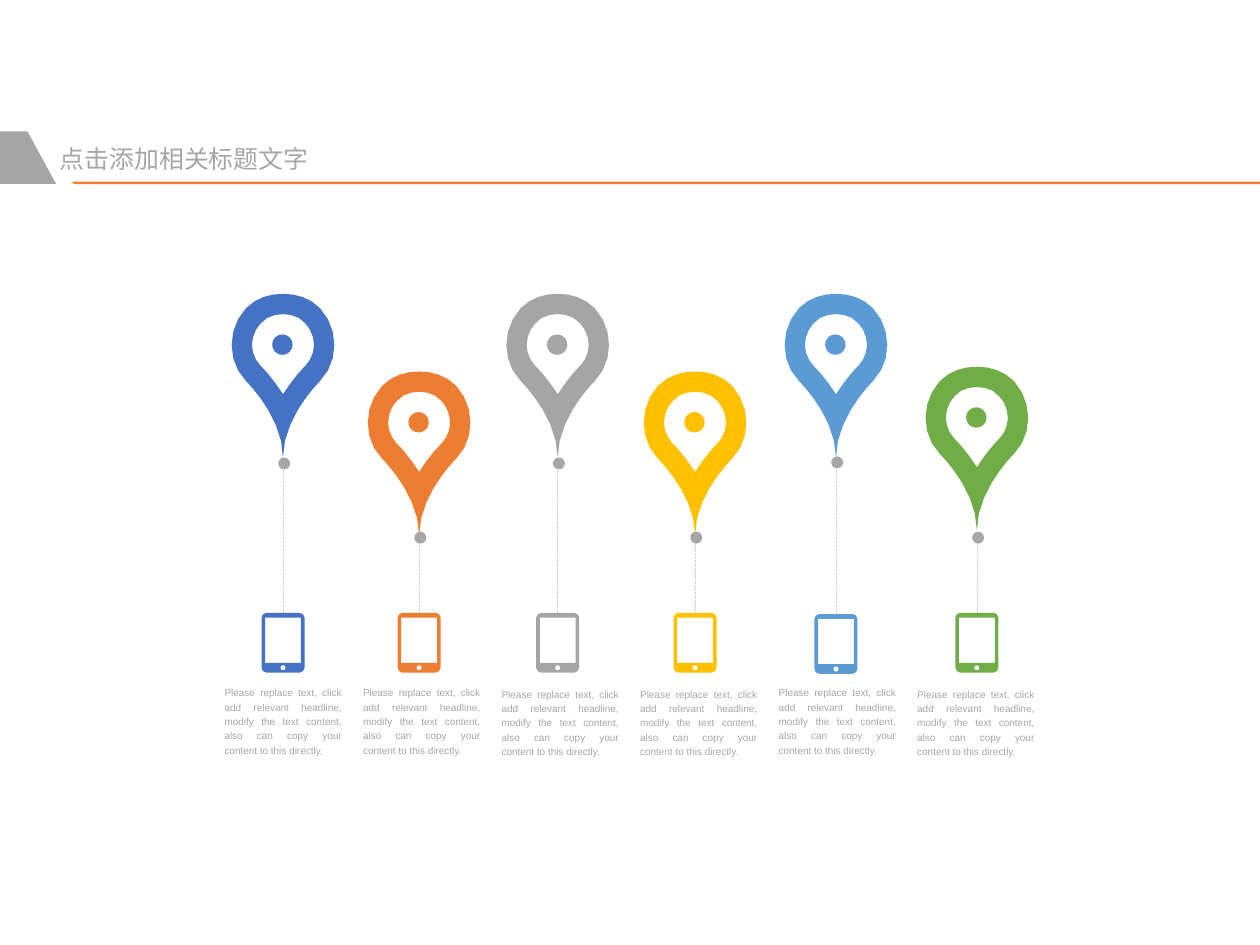
import math

from lxml import etree
from pptx import Presentation
from pptx.dml.color import RGBColor
from pptx.enum.dml import MSO_LINE
from pptx.enum.shapes import MSO_CONNECTOR, MSO_SHAPE
from pptx.enum.text import MSO_AUTO_SIZE, PP_ALIGN
from pptx.oxml.ns import qn
from pptx.util import Inches, Pt

OVAL = MSO_SHAPE.OVAL
STRAIGHT = MSO_CONNECTOR.STRAIGHT
DOTTED = MSO_LINE.ROUND_DOT
GROW = MSO_AUTO_SIZE.SHAPE_TO_FIT_TEXT
LEFT = PP_ALIGN.LEFT
JUSTIFY = PP_ALIGN.JUSTIFY

BLUE = RGBColor(0x44, 0x72, 0xC4)
ORANGE = RGBColor(0xED, 0x7D, 0x31)
GRAY = RGBColor(0xA5, 0xA5, 0xA5)
YELLOW = RGBColor(0xFF, 0xC0, 0x00)
SKY = RGBColor(0x5B, 0x9B, 0xD5)
GREEN = RGBColor(0x70, 0xAD, 0x47)
TEXT_GRAY = RGBColor(0xA6, 0xA6, 0xA6)
LINE_GRAY = RGBColor(0xC5, 0xC5, 0xC5)

FONT = "Arial"
TITLE = "点击添加相关标题文字"
CAPTION = ("Please replace text, click add relevant headline, modify the text "
           "content, also can copy your content to this directly.")
CAPTION_LEFT = 1.88
CAPTION_STEP = 1.16
LINE_BOTTOM = 5.13

PIN_HALVES = [
    [(0, 0), (-0.11, 0, -0.22, 0.03, -0.31, 0.12),
     (-0.47, 0.29, -0.47, 0.57, -0.31, 0.73),
     (-0.31, 0.73, 0, 1.03, 0, 1.37)],
    [(0, 0.17), (-0.07, 0.17, -0.14, 0.19, -0.19, 0.25),
     (-0.23, 0.29, -0.26, 0.36, -0.26, 0.43),
     (-0.26, 0.49, -0.23, 0.56, -0.19, 0.6),
     (-0.17, 0.62, -0.09, 0.7, 0, 0.84)],
]
TABLET_HALVES = [
    [(0, 0), (-0.14, 0), (-0.16, 0, -0.18, 0.02, -0.18, 0.04), (-0.18, 0.46),
     (-0.18, 0.48, -0.16, 0.5, -0.14, 0.5), (0, 0.5)],
    [(0, 0.04), (-0.15, 0.04), (-0.15, 0.42), (0, 0.42)],
    [(0, 0.44), (-0.01, 0.44), (-0.02, 0.45), (-0.02, 0.47), (-0.01, 0.48), (0, 0.48)],
]
RULE = [(0.6, 1.52), (10.55, 1.52), (10.55, 1.54), (0.62, 1.54)]
TAB = [(0.23, 1.1), (0.47, 1.54), (0, 1.54), (0, 1.1)]

# center, pin top, joint top, tablet top, caption top, colour
COLUMNS = [
    (2.37, 2.46, 3.83, 5.13, 5.73, BLUE),
    (3.51, 3.11, 4.45, 5.13, 5.73, ORANGE),
    (4.67, 2.46, 3.83, 5.13, 5.74, GRAY),
    (5.82, 3.11, 4.45, 5.13, 5.74, YELLOW),
    (7.00, 2.46, 3.82, 5.14, 5.73, SKY),
    (8.18, 3.07, 4.45, 5.13, 5.74, GREEN),
]


def curve_points(start, curve):
    controls = [start, curve[:2], curve[2:4], curve[4:]]
    steps = 2 + round(7 * math.dist(start, curve[4:]))
    points = []
    for step in range(1, steps + 1):
        t = step / steps
        weights = ((1 - t) ** 3, 3 * t * (1 - t) ** 2, 3 * t ** 2 * (1 - t), t ** 3)
        points.append(tuple(sum(weight * control[axis]
                                for weight, control in zip(weights, controls))
                            for axis in (0, 1)))
    return points


def mirrored_contour(half, center, top):
    points = [half[0]]
    for segment in half[1:]:
        points += curve_points(points[-1], segment) if len(segment) == 6 else [segment]
    points += [(-x, y) for x, y in reversed(points[1:-1])]
    return [(center + x, top + y) for x, y in points]


def fill_plain(shape, color):
    shape.shadow.inherit = False
    shape.fill.solid()
    shape.fill.fore_color.rgb = color
    shape.line.fill.background()


def add_outline(page, contours, color):
    contours = [[(Inches(x), Inches(y)) for x, y in contour] for contour in contours]
    builder = page.shapes.build_freeform(*contours[0][0])
    builder.add_line_segments(contours[0][1:])
    for contour in contours[1:]:
        builder.move_to(*contour[0])
        builder.add_line_segments(contour[1:])
    fill_plain(builder.convert_to_shape(), color)


def add_symbol(page, halves, center, top, color):
    add_outline(page, [mirrored_contour(half, center, top) for half in halves], color)


def add_dot(page, left, top, size, color):
    dot = page.shapes.add_shape(OVAL, Inches(left), Inches(top), Inches(size), Inches(size))
    fill_plain(dot, color)


def add_dotted_line(page, x, top, bottom):
    line = page.shapes.add_connector(STRAIGHT, Inches(x), Inches(bottom), Inches(x), Inches(top))
    line.line.color.rgb = LINE_GRAY
    line.line.width = Pt(0.5)
    line.line.dash_style = DOTTED
    etree.SubElement(line._element.spPr, qn("a:effectLst"))


def add_text(page, left, top, width, height, text, size, alignment, spacing):
    box = page.shapes.add_textbox(Inches(left), Inches(top), Inches(width), Inches(height))
    frame = box.text_frame
    frame.word_wrap = True
    frame.auto_size = GROW
    frame.margin_left = frame.margin_right = frame.margin_top = frame.margin_bottom = 0
    para = frame.paragraphs[0]
    para.text = text
    para.alignment = alignment
    para.line_spacing = spacing
    para.font.name = FONT
    para.font.size = Pt(size)
    para.font.color.rgb = TEXT_GRAY


def add_header(page):
    add_outline(page, [RULE], ORANGE)
    add_outline(page, [TAB], GRAY)
    add_text(page, 0.5, 1.2, 2.52, 0.25, TITLE, 15, LEFT, 1.0)


def add_column(page, index, center, pin_top, joint_top, tablet_top, caption_top, color):
    add_symbol(page, PIN_HALVES, center, pin_top, color)
    add_dot(page, center - 0.09, pin_top + 0.34, 0.17, color)
    add_dot(page, center - 0.04, joint_top, 0.1, TEXT_GRAY)
    add_dotted_line(page, center, joint_top + 0.09, LINE_BOTTOM)
    add_symbol(page, TABLET_HALVES, center, tablet_top, color)
    add_text(page, CAPTION_LEFT + index * CAPTION_STEP, caption_top, 0.98, 0.59,
             CAPTION, 6, JUSTIFY, 1.2)


def main():
    deck = Presentation()
    deck.slide_width = Inches(10.55)
    deck.slide_height = Inches(7.91)
    page = deck.slides.add_slide(deck.slide_layouts[6])
    for index, column in enumerate(COLUMNS):
        add_column(page, index, *column)
    add_header(page)
    deck.save("out.pptx")


if __name__ == "__main__":
    main()
